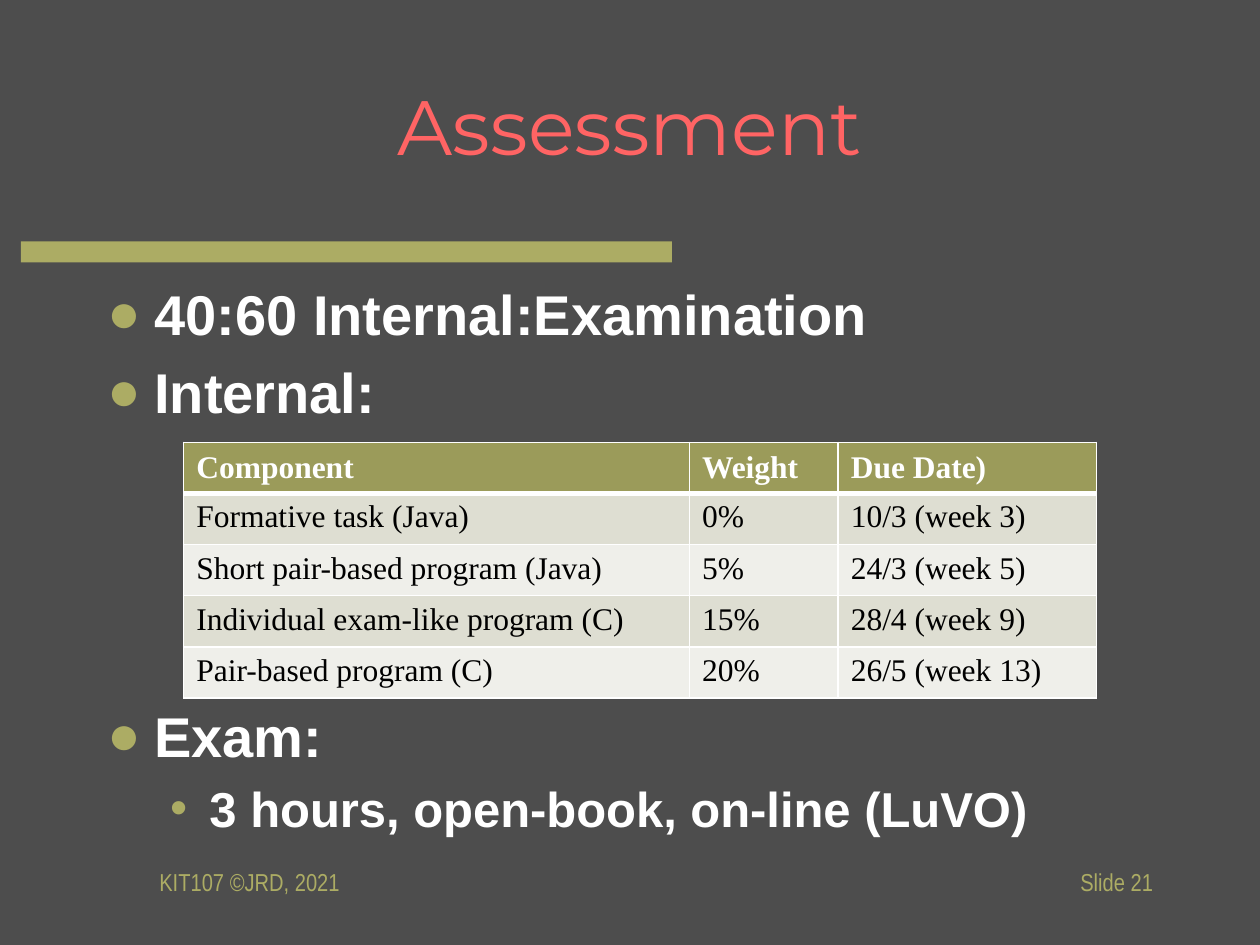
from dataclasses import dataclass

from lxml import etree
from pptx import Presentation
from pptx.dml.color import RGBColor
from pptx.enum import shapes, text
from pptx.oxml import ns
from pptx.util import Pt

COLOURS = {
    "background": "4D4D4D",
    "accent": "ACAC64",
    "title": "FF6464",
    "white": "FFFFFF",
    "black": "000000",
    "header": "9B9B5A",
    "odd_row": "DEDED2",
    "even_row": "EFEFEA",
}


@dataclass
class Bullet:
    wording: str
    space_before: float
    level: int = 0
    size: float = 32
    margin: float = 27
    hanging: float = 27
    symbol: str = "●"


@dataclass
class Footer:
    wording: str
    left: float
    alignment: text.PP_ALIGN


BULLETS = [
    Bullet("40:60 Internal:Examination", 3),
    Bullet("Internal:", 6.4),
    Bullet("Exam:", 158),
    Bullet("3 hours, open-book, on-line (LuVO)", 5.6, 1, 28, 58.5, 22.5, "•"),
]
FOOTERS = [
    Footer("Slide 21", 516, text.PP_ALIGN.RIGHT),
    Footer("KIT107 ©JRD, 2021", 84, text.PP_ALIGN.LEFT),
]
ASSESSMENTS = [
    ("Component", "Weight", "Due Date)"),
    ("Formative task (Java)", "0%", "10/3 (week 3)"),
    ("Short pair-based program (Java)", "5%", "24/3 (week 5)"),
    ("Individual exam-like program (C)", "15%", "28/4 (week 9)"),
    ("Pair-based program (C)", "20%", "26/5 (week 13)"),
]
COLUMN_WIDTHS = [289, 85, 147.5]
ROW_HEIGHT = 29.25


def colour(name: str) -> RGBColor:
    return RGBColor.from_string(COLOURS[name])


def set_font(paragraph, name: str, size: float, colour_name: str, bold: bool = False) -> None:
    font = paragraph.font
    font.name = name
    font.size = Pt(size)
    font.bold = bold
    font.color.rgb = colour(colour_name)


def place(shape, left: float, top: float, width: float, height: float) -> None:
    shape.left, shape.top = Pt(left), Pt(top)
    shape.width, shape.height = Pt(width), Pt(height)


def add_colour(parent, tag: str, name: str) -> None:
    holder = etree.SubElement(parent, ns.qn(tag))
    etree.SubElement(holder, ns.qn("a:srgbClr"), val=COLOURS[name])


def draw_bar(slide) -> None:
    bar = slide.shapes.add_shape(
        shapes.MSO_SHAPE.RECTANGLE, Pt(12), Pt(138), Pt(372), Pt(12)
    )
    bar.shadow.inherit = False
    bar.fill.solid()
    bar.fill.fore_color.rgb = colour("accent")
    bar.line.fill.background()


def draw_title(slide) -> None:
    title = slide.shapes.title
    place(title, 54, 26, 612, 90)
    frame = title.text_frame
    frame.text = "Assessment"
    frame.auto_size = text.MSO_AUTO_SIZE.NONE
    frame.vertical_anchor = text.MSO_ANCHOR.MIDDLE
    paragraph = frame.paragraphs[0]
    paragraph.alignment = text.PP_ALIGN.CENTER
    set_font(paragraph, "Montserrat", 44, "title")


def format_bullet(paragraph, bullet: Bullet) -> None:
    paragraph.text = bullet.wording
    paragraph.level = bullet.level
    paragraph.space_before = Pt(bullet.space_before)
    set_font(paragraph, "Arial", bullet.size, "white", True)
    properties = paragraph._p.get_or_add_pPr()
    properties.set("marL", str(Pt(bullet.margin)))
    properties.set("indent", str(-Pt(bullet.hanging)))
    default_font = properties.find(ns.qn("a:defRPr"))
    properties.remove(default_font)
    add_colour(properties, "a:buClr", "accent")
    etree.SubElement(properties, ns.qn("a:buFont"), typeface="Arial")
    etree.SubElement(properties, ns.qn("a:buChar"), char=bullet.symbol)
    properties.append(default_font)


def draw_body(slide) -> None:
    body = slide.placeholders[1]
    place(body, 54, 156, 612, 324)
    frame = body.text_frame
    frame.auto_size = text.MSO_AUTO_SIZE.NONE
    frame.vertical_anchor = text.MSO_ANCHOR.TOP
    for index, bullet in enumerate(BULLETS):
        paragraph = frame.add_paragraph() if index else frame.paragraphs[0]
        format_bullet(paragraph, bullet)


def set_borders(cell, top: float, bottom: float) -> None:
    properties = cell._tc.get_or_add_tcPr()
    widths = {"a:lnL": 1, "a:lnR": 1, "a:lnT": top, "a:lnB": bottom}
    for position, (tag, width) in enumerate(widths.items()):
        line = etree.Element(ns.qn(tag), w=str(Pt(width)))
        add_colour(line, "a:solidFill", "white")
        properties.insert(position, line)


def draw_table(slide) -> None:
    table = slide.shapes.add_table(
        len(ASSESSMENTS), len(COLUMN_WIDTHS), Pt(105), Pt(252.75),
        Pt(sum(COLUMN_WIDTHS)), Pt(ROW_HEIGHT * len(ASSESSMENTS)),
    ).table
    for column, width in zip(table.columns, COLUMN_WIDTHS):
        column.width = Pt(width)
    for row_index, row in enumerate(ASSESSMENTS):
        table.rows[row_index].height = Pt(ROW_HEIGHT)
        is_header = row_index == 0
        fill = "header" if is_header else "odd_row" if row_index % 2 else "even_row"
        for column_index, wording in enumerate(row):
            cell = table.cell(row_index, column_index)
            cell.text = wording
            cell.fill.solid()
            cell.fill.fore_color.rgb = colour(fill)
            if is_header:
                cell.vertical_anchor = text.MSO_ANCHOR.MIDDLE
            set_font(
                cell.text_frame.paragraphs[0], "Times New Roman", 18,
                "white" if is_header else "black", is_header,
            )
            set_borders(cell, 3 if row_index == 1 else 1, 3 if is_header else 1)


def draw_footer(slide, footer: Footer) -> None:
    box = slide.shapes.add_textbox(Pt(footer.left), Pt(486), Pt(150), Pt(36))
    frame = box.text_frame
    frame.word_wrap = True
    frame.vertical_anchor = text.MSO_ANCHOR.MIDDLE
    paragraph = frame.paragraphs[0]
    paragraph.text = footer.wording
    paragraph.alignment = footer.alignment
    set_font(paragraph, "Arial Narrow", 14, "accent")


def main() -> None:
    presentation = Presentation()
    presentation.slide_width, presentation.slide_height = Pt(720), Pt(540)
    slide = presentation.slides.add_slide(presentation.slide_layouts[1])
    slide.background.fill.solid()
    slide.background.fill.fore_color.rgb = colour("background")
    draw_bar(slide)
    draw_title(slide)
    draw_body(slide)
    draw_table(slide)
    for footer in FOOTERS:
        draw_footer(slide, footer)
    presentation.save("out.pptx")


if __name__ == "__main__":
    main()
